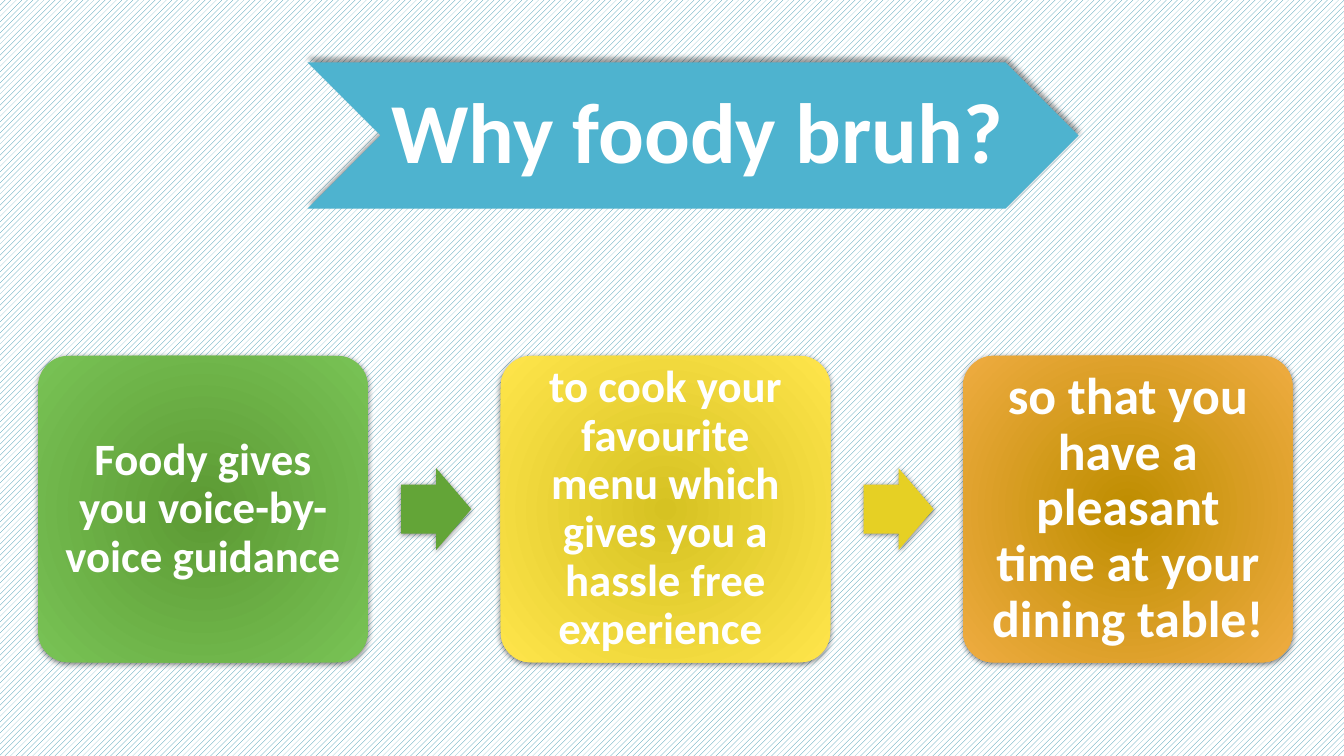
from lxml.etree import SubElement
from pptx import Presentation
from pptx.dml.color import RGBColor
from pptx.enum.dml import MSO_PATTERN
from pptx.enum.shapes import MSO_SHAPE
from pptx.enum.text import MSO_ANCHOR, PP_ALIGN
from pptx.oxml.ns import qn
from pptx.util import Pt

TITLE = "Why foody bruh?"
STEPS = [
    {"text": "Foody gives you voice-by-voice guidance", "size": 32, "inset": 9.6,
     "gradient": ("5C9A33", "79C356"), "arrow": "63A537"},
    {"text": "to cook your favourite menu which gives you a hassle free experience ",
     "size": 32, "inset": 9.6, "gradient": ("D6C222", "FFE54B"), "arrow": "E6D024"},
    {"text": "so that you have a pleasant time at your dining table!",
     "size": 37, "inset": 11, "gradient": ("BE8D00", "EFAC41"), "arrow": None},
]
THEME = {
    "font": "Calibri", "title_size": 61, "text": "FFFFFF", "banner": "4EB3CF",
    "stripe": "2E8EA8", "background": "FFFFFF", "shadow": "000000",
}

SLIDE_WIDTH, SLIDE_HEIGHT = 960, 540
BANNER = (219.6, 44.6, 550.8, 104.4)
BOX_LEFT, BOX_TOP, BOX_WIDTH, BOX_HEIGHT = 27.3, 254.2, 235.5, 219
BOX_PITCH = 330.3
ARROW_OFFSET, ARROW_WIDTH, ARROW_HEIGHT = 23.8, 50, 58.4


def color(value):
    return RGBColor.from_string(value)


def add_shadow(shape, opacity, distance, angle):
    shape.shadow.inherit = False
    effects = shape._element.spPr.find(qn("a:effectLst"))
    shadow = SubElement(effects, qn("a:outerShdw"), blurRad=str(Pt(4)),
                        dist=str(Pt(distance)), dir=str(angle * 60000), rotWithShape="0")
    tone = SubElement(shadow, qn("a:srgbClr"), val=THEME["shadow"])
    SubElement(tone, qn("a:alpha"), val=str(opacity * 1000))


def add_block(slide, kind, bounds, shadow, fill=None):
    shape = slide.shapes.add_shape(kind, *(Pt(value) for value in bounds))
    if fill:
        shape.fill.solid()
        shape.fill.fore_color.rgb = color(fill)
    shape.line.fill.background()
    add_shadow(shape, *shadow)
    return shape


def fill_radial(shape, colors):
    shape.fill.gradient()
    for stop, position, value in zip(shape.fill.gradient_stops, (0, 1), colors):
        stop.position = position
        stop.color.rgb = color(value)
    gradient = shape._element.spPr.find(qn("a:gradFill"))
    gradient.remove(gradient.find(qn("a:lin")))
    circle = SubElement(gradient, qn("a:path"), path="circle")
    SubElement(circle, qn("a:fillToRect"), l="100000", t="100000", r="100000", b="100000")


def write_text(shape, text, size, insets):
    frame = shape.text_frame
    frame.word_wrap = True
    frame.vertical_anchor = MSO_ANCHOR.MIDDLE
    frame.margin_left, frame.margin_top, frame.margin_right, frame.margin_bottom = map(Pt, insets)
    paragraph = frame.paragraphs[0]
    paragraph.text = text
    paragraph.alignment = PP_ALIGN.CENTER
    paragraph.line_spacing = 0.9
    paragraph.font.name = THEME["font"]
    paragraph.font.size = Pt(size)
    paragraph.font.bold = True
    paragraph.font.color.rgb = color(THEME["text"])


def build_banner(slide):
    banner = add_block(slide, MSO_SHAPE.CHEVRON, BANNER, (40, 3, 270), THEME["banner"])
    write_text(banner, TITLE, THEME["title_size"], (6, 3, 0, 3))


def build_steps(slide):
    shadow = (50, 1, 90)
    arrow_top = BOX_TOP + (BOX_HEIGHT - ARROW_HEIGHT) / 2
    for index, step in enumerate(STEPS):
        left = BOX_LEFT + index * BOX_PITCH
        box = add_block(slide, MSO_SHAPE.ROUNDED_RECTANGLE,
                        (left, BOX_TOP, BOX_WIDTH, BOX_HEIGHT), shadow)
        box.adjustments[0] = 0.1
        fill_radial(box, step["gradient"])
        write_text(box, step["text"], step["size"], [step["inset"]] * 4)
        if step["arrow"]:
            arrow_left = left + BOX_WIDTH + ARROW_OFFSET
            arrow = add_block(slide, MSO_SHAPE.RIGHT_ARROW,
                              (arrow_left, arrow_top, ARROW_WIDTH, ARROW_HEIGHT),
                              shadow, step["arrow"])
            arrow.adjustments[0] = 0.6


def main():
    presentation = Presentation()
    presentation.slide_width = Pt(SLIDE_WIDTH)
    presentation.slide_height = Pt(SLIDE_HEIGHT)
    slide = presentation.slides.add_slide(presentation.slide_layouts[6])
    background = slide.background.fill
    background.patterned()
    background.pattern = MSO_PATTERN.WIDE_UPWARD_DIAGONAL
    background.fore_color.rgb = color(THEME["stripe"])
    background.back_color.rgb = color(THEME["background"])
    build_banner(slide)
    build_steps(slide)
    presentation.save("out.pptx")


if __name__ == "__main__":
    main()
